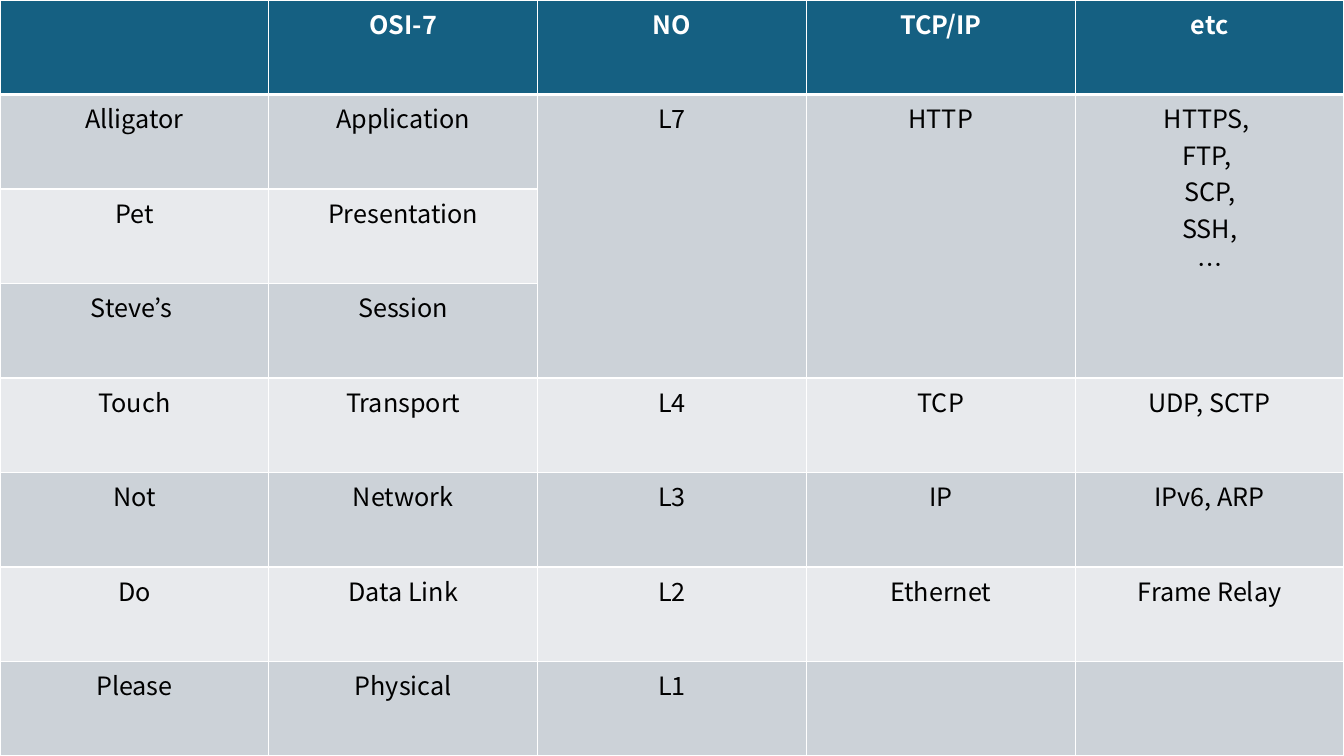
import pptx
import pptx.dml.color
import pptx.enum.text
import pptx.oxml.ns
import pptx.util
from lxml import etree
from pptx.util import Cm

RGB = pptx.dml.color.RGBColor
WHITE = RGB(0xFF, 0xFF, 0xFF)
BLACK = RGB(0x00, 0x00, 0x00)
BLUE = RGB(0x15, 0x60, 0x82)
DARK = RGB(0xCC, 0xD2, 0xD8)
LIGHT = RGB(0xE8, 0xEA, 0xED)

FONT = "Noto Sans CJK KR"
WIDTH, HEIGHT = Cm(33.87), Cm(19.05)

LAYERS = [
    ["", "OSI-7", "NO", "TCP/IP", "etc"],
    ["Alligator", "Application", "L7", "HTTP", "HTTPS, \nFTP, \nSCP,\nSSH,\n…"],
    ["Pet", "Presentation", "", "", ""],
    ["Steve’s ", "Session", "", "", ""],
    ["Touch", "Transport", "L4", "TCP", "UDP, SCTP"],
    ["Not", "Network", "L3", "IP", "IPv6, ARP"],
    ["Do", "Data Link", "L2", "Ethernet", "Frame Relay"],
    ["Please", "Physical", "L1", "", ""],
]


def add_node(parent, tag, **attrs):
    return etree.SubElement(parent, pptx.oxml.ns.qn(tag), **attrs)


def write(frame, text, size=18, color=BLACK, bold=False):
    """Fill a text frame with centred lines, one paragraph each."""
    frame.text = text
    for para in frame.paragraphs:
        para.alignment = pptx.enum.text.PP_ALIGN.CENTER
        for run in para.runs:
            font = run.font
            font.name = FONT
            font.size = pptx.util.Pt(size)
            font.bold = bold
            font.color.rgb = color
            add_node(font._element, "a:ea", typeface=FONT)


def edge(cell, top=1, bottom=1):
    """Draw white borders, with widths in points."""
    props = cell._tc.get_or_add_tcPr()
    for side, width in zip("LRTB", (1, 1, top, bottom)):
        line = add_node(props, "a:ln" + side, w=str(pptx.util.Pt(width)))
        fill = add_node(line, "a:solidFill")
        add_node(fill, "a:srgbClr", val=str(WHITE))


def paint(cell, color):
    cell.fill.solid()
    cell.fill.fore_color.rgb = color


def add_grid(slide, data):
    rows, cols = len(data), len(data[0])
    grid = slide.shapes.add_table(rows, cols, Cm(0), Cm(0), WIDTH, HEIGHT).table
    for r, layer in enumerate(data):
        head = r == 0
        for c, text in enumerate(layer):
            cell = grid.cell(r, c)
            edge(cell, top=3 if r == 1 else 1, bottom=3 if head else 1)
            paint(cell, BLUE if head else DARK if r % 2 else LIGHT)
            write(cell.text_frame, text, color=WHITE if head else BLACK, bold=head)
    return grid


def main():
    deck = pptx.Presentation()
    deck.slide_width, deck.slide_height = WIDTH, HEIGHT
    slide = deck.slides.add_slide(deck.slide_layouts[6])

    # Layer table
    grid = add_grid(slide, LAYERS)

    # The top three layers share their last three columns
    for c in range(2, 5):
        grid.cell(1, c).merge(grid.cell(3, c))

    deck.save("out.pptx")


if __name__ == "__main__":
    main()
